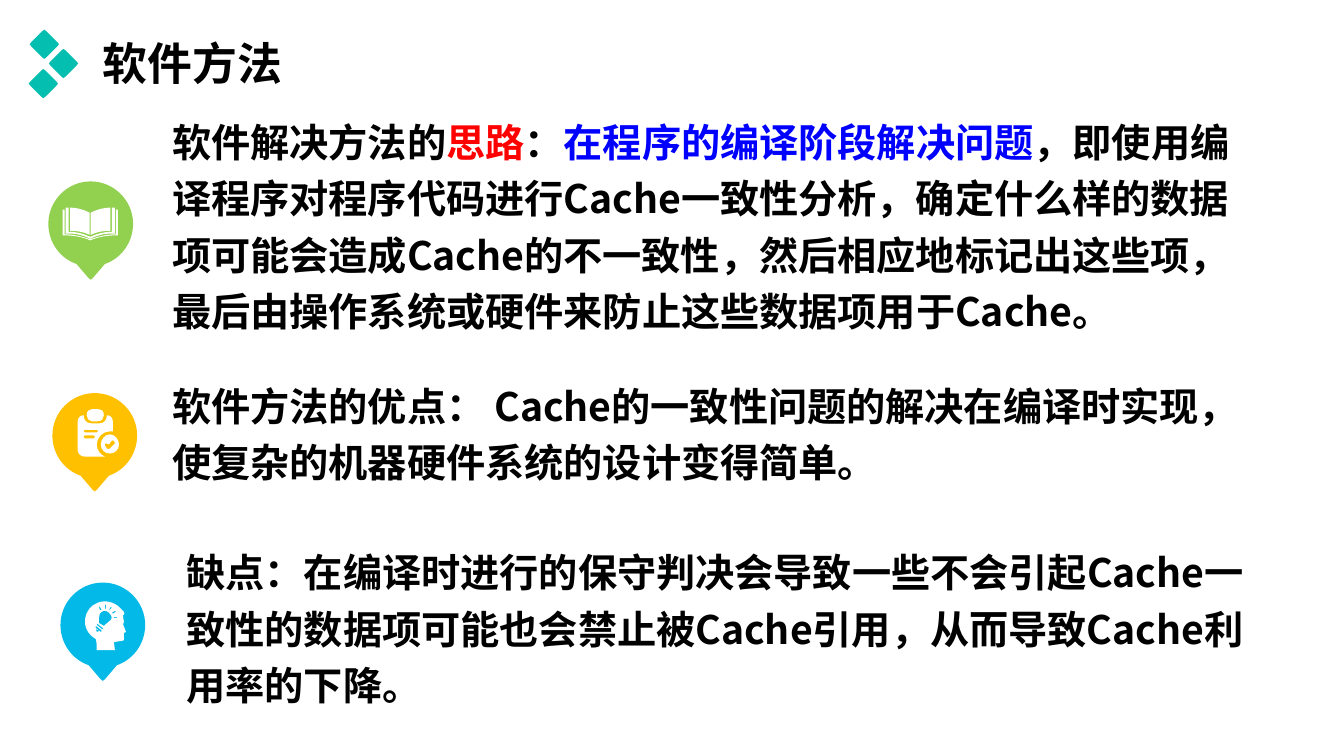
from lxml import etree
from pptx import Presentation
from pptx.dml.color import RGBColor
from pptx.enum.text import MSO_ANCHOR, MSO_AUTO_SIZE, PP_ALIGN
from pptx.oxml.ns import qn
from pptx.util import Inches, Pt

FONT = "Noto Sans CJK SC"
COLORS = {"black": "000000", "red": "FF0000", "blue": "0000FF", "white": "FFFFFF",
          "green": "92D050", "amber": "FFC000", "sky": "02B9E7", "teal": "04BEB0"}
TITLE = [("软件方法", "black")]
IDEA = [
    ("软件解决方法的", "black"),
    ("思路", "red"),
    ("：", "black"),
    ("在程序的编译阶段解决问题", "blue"),
    ("，即使用编译程序对程序代码进行Cache一致性分析，确定什么样的数据项可能会造成"
     "Cache的不一致性，然后相应地标记出这些项，最后由操作系统或硬件来防止这些数据项用于Cache。", "black"),
]
MERIT = [("软件方法的优点： Cache的一致性问题的解决在编译时实现，使复杂的机器硬件系统的设计变得简单。", "black")]
DRAWBACK = [("缺点：在编译时进行的保守判决会导致一些不会引起Cache一致性的数据项可能也会禁止被"
             "Cache引用，从而导致Cache利用率的下降。", "black")]

DIAMOND = """M -13 -2 L -2 -13 C -1 -15 1 -15 2 -13 L 13 -2 C 15 -1 15 1 13 2
L 2 13 C 1 15 -1 15 -2 13 L -13 2 C -15 1 -15 -1 -13 -2 Z"""
PIN = """M 0 -42 C 23 -42 42 -23 42 0 C 42 18 31 34 14 40 L 8 47 C 6 49 4 52 2 54
C 1 56 -1 56 -2 54 C -4 52 -6 49 -8 47 L -14 40 C -31 34 -42 18 -42 0 C -42 -23 -23 -42 0 -42 Z"""
BOOK = """M -1 11 L -1 -11 C -7 -14 -14 -16 -20.5 -16 L -20.5 7 C -14 7 -7 8 -1 11 Z
M 0 11 L 0 -11 C 6 -14 13 -16 19.5 -16 L 19.5 7 C 13 7 6 8 0 11 Z
M -0.5 15 C 7 11 16 9 24 10 L 24 -16 L 21 -16 L 21 8 C 13 8 6 10 -0.5 13
C -7 10 -14 8 -22 8 L -22 -16 L -25 -16 L -25 10 C -17 9 -8 11 -0.5 15 Z
M 25 -14 L 25 10.5 C 16 10.5 8 12.5 -0.5 15.5 C -9 12.5 -17 10.5 -26 10.5 L -26 -14 L -28 -14
L -28 11.5 C -18 11.5 -8 13 -0.5 16.5 C 7 13 17 11.5 27 11.5 L 27 -14 Z"""
CLIPBOARD = """M 9 -20 C 9 -17 7 -14 3 -14 L -3 -14 C -6 -14 -8 -17 -8 -20
C -8 -24 -6 -26 -3 -26 L 3 -26 C 7 -26 9 -24 9 -20 Z
M 12 -20 C 12 -15 9 -12 5 -12 L -4 -12 C -8 -12 -11 -15 -11 -20 C -15 -20 -17 -17 -17 -13
L -17 14 C -17 18 -14 21 -10 21 L 10 21 C 5 19 2 14 2 9 C 2 2 8 -4 15 -4 L 18 -4
L 18 -13 C 18 -17 16 -20 12 -20 Z
M -1 3 L -10 3 C -11.5 3 -11.5 0 -10 0 L -1 0 C 1 0 1 3 -1 3 Z
M 2 -3 L -10 -3 C -11.5 -3 -11.5 -5.5 -10 -5.5 L 2 -5.5 C 4 -5.5 4 -3 2 -3 Z
M 15 -1 C 10 -1 6 4 6 9 C 6 14 10 18 15 18 C 20 18 24 14 24 9 C 24 4 20 -1 15 -1 Z
M 20 8 L 15 13 C 14 14 13 14 12 13 L 10 10 C 9 9 11 7 12 8 L 14 9 L 17 5 C 18 4 21 6 20 8 Z"""
HEAD = """M -6 25 C -6 21 -6 17 -7 14 C -24 4 -19 -17 -5 -22 C 2 -25 12 -23 18 -16
C 23 -12 21 -10 21 -10 L 20 -10 C 20 -8 21 -3 21 -3 C 21 -2 20 -1 20 -1 L 23 7 L 21 8
C 21 10 21 12 21 15 C 21 15 20 16 18 16 L 11 17 L 12 25 Z
M 5 -13 C 2 -15 -1 -14 -3 -11 C -5 -8 -3 -5 -4 -2 L 1 1 C 3 -2 6 -2 8 -5 C 10 -7 8 -11 5 -13 Z
M 0 3 L -5 -1 C -5 -2 -6 -1 -6 0 L -1 4 C 0 5 1 4 0 3 Z
M -1.5 5 L -6 1.5 C -7 1 -8 1 -7 3 L -2 7 C -1 7 -1 6 -1.5 5 Z
M -7 4 C -7 5 -7 6 -6 7 C -5 7 -4 7 -3 6 Z
M 7 -15 L 9 -17 L 8 -18 L 6 -15 Z M 10 -11 L 13 -13 L 12 -14 L 9 -12 Z
M 3 -16 L 3 -20 L 2 -20 L 2 -16 Z M -1 -15 L -3 -18 L -4 -18 L -3 -15 Z
M 11 -7 L 14 -7 L 14 -8 L 11 -8 Z"""

MARKER = [(DIAMOND, 0.44, 0.44, "teal"), (DIAMOND, 0.63, 0.63, "teal"), (DIAMOND, 0.43, 0.83, "teal")]
BADGES = [(BOOK, 0.90, 2.22, "green"), (CLIPBOARD, 0.94, 4.32, "amber"), (HEAD, 1.02, 6.20, "sky")]
GROUPS = [[(PIN, x, y, color), (icon, x, y, "white")] for icon, x, y, color in BADGES] + [MARKER]
STEPS = {"M": "a:moveTo", "L": "a:lnTo", "C": "a:cubicBezTo", "Z": "a:close"}


def rgb(name):
    return RGBColor.from_string(COLORS[name])


def write(shape, parts, size=28, anchor=MSO_ANCHOR.TOP, fit=MSO_AUTO_SIZE.NONE):
    tf = shape.text_frame
    tf.word_wrap, tf.auto_size, tf.vertical_anchor = True, fit, anchor
    p = tf.paragraphs[0]
    pPr = p._p.get_or_add_pPr()
    pPr.set("marL", "0")
    pPr.set("indent", "0")
    etree.SubElement(pPr, qn("a:buNone"))
    p.alignment, p.line_spacing, p.space_before = PP_ALIGN.LEFT, 1.2, Pt(0)
    for text, color in parts:
        r = p.add_run()
        r.text = text
        r.font.name, r.font.size, r.font.bold = FONT, Pt(size), True
        r.font.color.rgb = rgb(color)
        etree.SubElement(r._r.get_or_add_rPr(), qn("a:ea")).set("typeface", FONT)


def place(sp, x, y, w, h):
    sp.left, sp.top, sp.width, sp.height = [Inches(v) for v in (x, y, w, h)]
    return sp


def read_outline(outline):
    steps = []
    for word in outline.split():
        if word in STEPS:
            steps.append((word, []))
        else:
            steps[-1][1].append(float(word))
    return [(key, list(zip(nums[::2], nums[1::2]))) for key, nums in steps]


def draw(shapes, outline, cx, cy, color):
    steps = [(key, [(Inches(cx + x / 100), Inches(cy + y / 100)) for x, y in pts])
             for key, pts in read_outline(outline)]
    xs, ys = zip(*(pts[-1] for key, pts in steps if pts))
    left, top, right, bottom = min(xs), min(ys), max(xs), max(ys)
    fb = shapes.build_freeform(left, top, scale=1.0)
    fb.add_line_segments([(right, top), (right, bottom), (left, bottom)])
    sp = fb.convert_to_shape()
    path = next(sp._element.iter(qn("a:path")))
    for child in list(path):
        path.remove(child)
    for key, pts in steps:
        step = etree.SubElement(path, qn(STEPS[key]))
        for x, y in pts:
            pt = etree.SubElement(step, qn("a:pt"))
            pt.set("x", str(x - left))
            pt.set("y", str(y - top))
    sp.shadow.inherit = False
    sp.fill.solid()
    sp.fill.fore_color.rgb = rgb(color)
    sp.line.fill.background()


def main():
    prs = Presentation()
    prs.slide_width, prs.slide_height = Inches(13.33), Inches(7.5)
    s = prs.slides.add_slide(prs.slide_layouts[1])
    write(place(s.shapes.title, 0.92, -0.16, 11.5, 1.45), TITLE, size=32, anchor=MSO_ANCHOR.MIDDLE)
    write(place(s.placeholders[1], 1.75, 5.3, 10.8, 2.1), DRAWBACK)

    for group in GROUPS:
        shapes = s.shapes.add_group_shape().shapes
        for part in group:
            draw(shapes, *part)

    for parts, top, height in ((IDEA, 1.03, 2.36), (MERIT, 3.65, 1.23)):
        box = s.shapes.add_textbox(Inches(1.61), Inches(top), Inches(10.8), Inches(height))
        write(box, parts, fit=MSO_AUTO_SIZE.SHAPE_TO_FIT_TEXT)
    prs.save("out.pptx")


if __name__ == "__main__":
    main()
